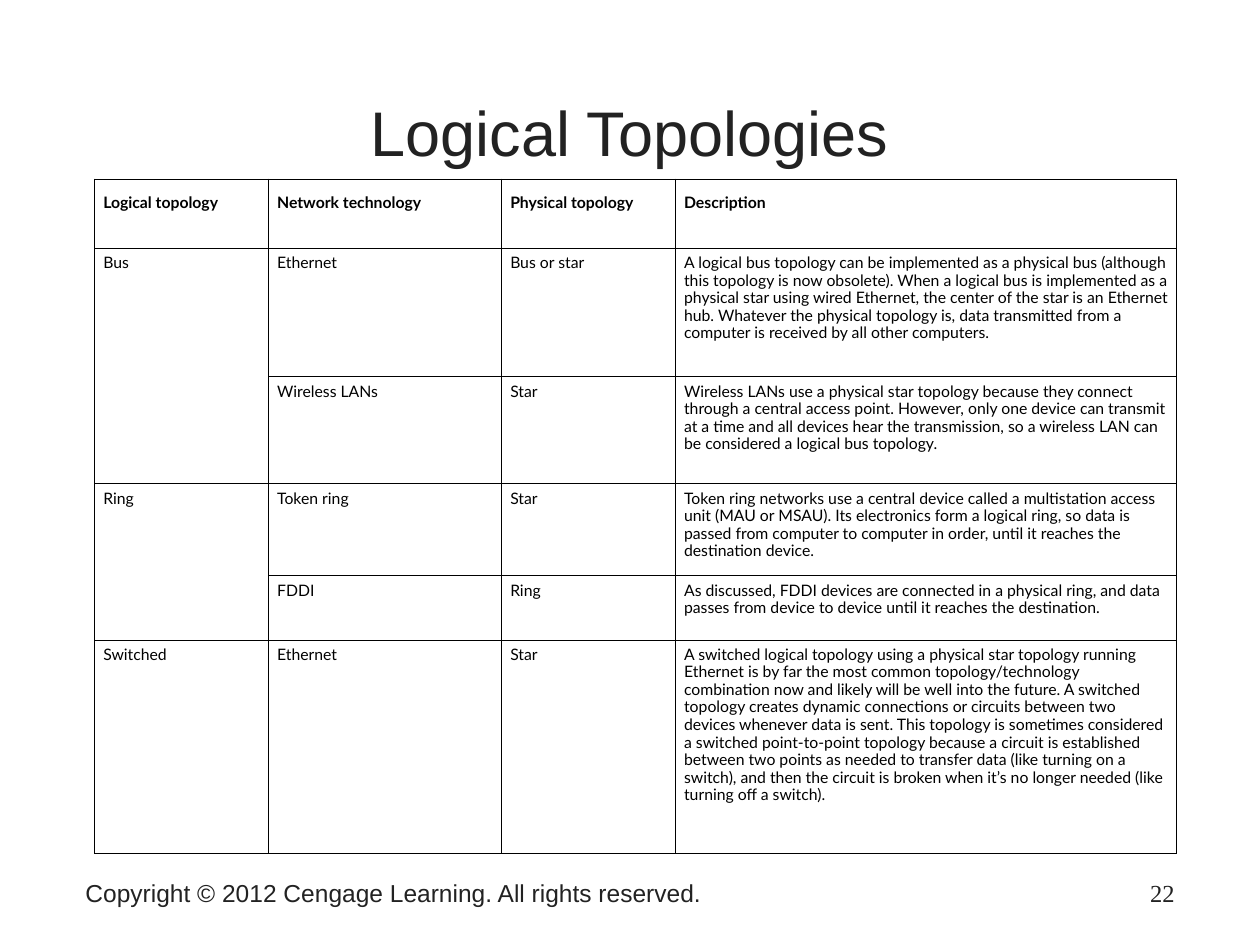
from lxml import etree
from pptx import Presentation
from pptx import util as u
from pptx.dml.color import RGBColor
from pptx.enum import text
from pptx.oxml.ns import qn

BLACK = RGBColor(0x00, 0x00, 0x00)
CHARCOAL = RGBColor(0x22, 0x22, 0x22)
BORDER_WIDTH = u.Pt(0.45)
COLUMN_WIDTHS = (1.38, 1.85, 1.38, 3.98)
ROW_HEIGHTS = (0.55, 1.02, 0.85, 0.73, 0.51, 1.69)
HEADER_FORMAT = {"line_spacing": u.Pt(15), "space_after": u.Pt(2)}
BODY_FORMAT = {"line_spacing": u.Pt(10), "space_after": u.Pt(3)}
CELL_MARGINS = {
    "margin_left": u.Inches(0.07),
    "margin_right": u.Inches(0.07),
    "margin_top": u.Inches(0.05),
    "margin_bottom": u.Inches(0.05),
}
TOPOLOGIES = (
    ("Logical topology", "Network technology", "Physical topology", "Description"),
    ("Bus", "Ethernet", "Bus or star",
     "A logical bus topology can be implemented as a physical bus (although this "
     "topology is now obsolete). When a logical bus is implemented as a physical star "
     "using wired Ethernet, the center of the star is an Ethernet hub. Whatever the "
     "physical topology is, data transmitted from a computer is received by all other "
     "computers."),
    ("", "Wireless LANs", "Star",
     "Wireless LANs use a physical star topology because they connect through a central "
     "access point. However, only one device can transmit at a time and all devices hear "
     "the transmission, so a wireless LAN can be considered a logical bus topology."),
    ("Ring", "Token ring", "Star",
     "Token ring networks use a central device called a multistation access unit (MAU or "
     "MSAU). Its electronics form a logical ring, so data is passed from computer to "
     "computer in order, until it reaches the destination device."),
    ("", "FDDI", "Ring",
     "As discussed, FDDI devices are connected in a physical ring, and data passes from "
     "device to device until it reaches the destination."),
    ("Switched", "Ethernet", "Star",
     "A switched logical topology using a physical star topology running Ethernet is by "
     "far the most common topology/technology combination now and likely will be well "
     "into the future. A switched topology creates dynamic connections or circuits "
     "between two devices whenever data is sent. This topology is sometimes considered a "
     "switched point-to-point topology because a circuit is established between two "
     "points as needed to transfer data (like turning on a switch), and then the circuit "
     "is broken when it’s no longer needed (like turning off a switch)."),
)


def apply_format(target, values):
    """Set each attribute of the target from a dict of values."""
    for name, value in values.items():
        setattr(target, name, value)


def write_text(frame, words, font, size, color, bold=False, **layout):
    """Write one formatted paragraph into a text frame."""
    para = frame.paragraphs[0]
    apply_format(para, layout)
    span = para.add_run()
    span.text = words
    apply_format(span.font, {"name": font, "size": u.Pt(size), "bold": bold})
    span.font.color.rgb = color


def add_title(page, words):
    """Place and fill the title placeholder."""
    title = page.shapes.title
    apply_format(title, {"left": u.Inches(0.58), "top": u.Inches(0.42),
                         "width": u.Inches(8.83), "height": u.Inches(1.25)})
    title.text_frame.vertical_anchor = text.MSO_ANCHOR.MIDDLE
    write_text(title.text_frame, words, "Arial", 36, CHARCOAL,
               alignment=text.PP_ALIGN.CENTER)


def add_footer(page, left, width, words, font, alignment):
    """Add a text box on the footer line."""
    box = page.shapes.add_textbox(u.Inches(left), u.Inches(6.92),
                                  u.Inches(width), u.Inches(0.42))
    box.text_frame.word_wrap = True
    write_text(box.text_frame, words, font, 14, CHARCOAL, alignment=alignment)


def set_borders(cell, open_sides):
    """Draw thin black borders on all sides of a cell but the open ones."""
    properties = cell._tc.get_or_add_tcPr()
    for side in "LRTB":
        line = etree.SubElement(properties, qn(f"a:ln{side}"), w=str(int(BORDER_WIDTH)))
        if side in open_sides:
            etree.SubElement(line, qn("a:noFill"))
        else:
            fill = etree.SubElement(line, qn("a:solidFill"))
            etree.SubElement(fill, qn("a:srgbClr"), val=str(BLACK))


def find_open_sides(row, column):
    """Name the sides where a topology group runs on across rows."""
    if column:
        return ""
    above = "" if TOPOLOGIES[row][0] else "T"
    continues = row + 1 < len(TOPOLOGIES) and not TOPOLOGIES[row + 1][0]
    return above + ("B" if continues else "")


def add_topology_table(page):
    """Add the bordered table of topologies."""
    table = page.shapes.add_table(
        len(ROW_HEIGHTS), len(COLUMN_WIDTHS), u.Inches(0.75), u.Inches(1.42),
        u.Inches(sum(COLUMN_WIDTHS)), u.Inches(sum(ROW_HEIGHTS))).table
    apply_format(table, {"first_row": False, "horz_banding": False})
    for column, width in zip(table.columns, COLUMN_WIDTHS):
        column.width = u.Inches(width)
    for row, height in zip(table.rows, ROW_HEIGHTS):
        row.height = u.Inches(height)
    for i, entries in enumerate(TOPOLOGIES):
        layout = BODY_FORMAT if i else HEADER_FORMAT
        for j, words in enumerate(entries):
            cell = table.cell(i, j)
            apply_format(cell, CELL_MARGINS)
            set_borders(cell, find_open_sides(i, j))
            cell.fill.background()
            if words:
                write_text(cell.text_frame, words, "Lato", 9, BLACK, bold=i == 0, **layout)


def main():
    """Build and save the slide."""
    deck = Presentation()
    apply_format(deck, {"slide_width": u.Inches(10), "slide_height": u.Inches(7.5)})
    page = deck.slides.add_slide(deck.slide_layouts[5])
    add_footer(page, 0.58, 6.67, "Copyright © 2012 Cengage Learning. All rights reserved.",
               "Arial", text.PP_ALIGN.LEFT)
    add_footer(page, 7.17, 2.25, "22", "Times New Roman", text.PP_ALIGN.RIGHT)
    add_title(page, "Logical Topologies")
    add_topology_table(page)
    deck.save("out.pptx")


if __name__ == "__main__":
    main()
